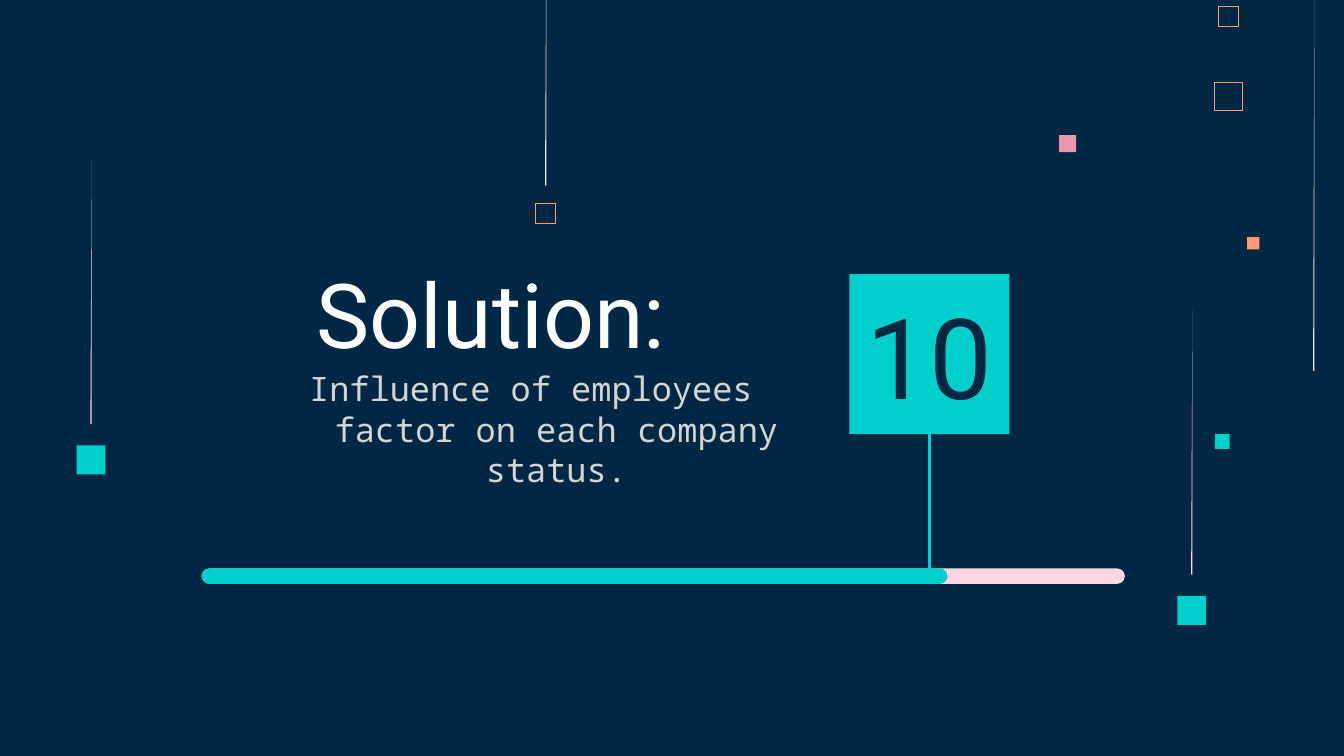
from collections import namedtuple

from lxml import etree
from pptx import Presentation
from pptx.dml.color import RGBColor
from pptx.enum.shapes import MSO_CONNECTOR, MSO_SHAPE
from pptx.enum.text import MSO_ANCHOR, MSO_AUTO_SIZE, PP_ALIGN
from pptx.oxml.ns import qn
from pptx.util import Inches, Pt

RECTANGLE, ROUNDED = MSO_SHAPE.RECTANGLE, MSO_SHAPE.ROUNDED_RECTANGLE
STRAIGHT = MSO_CONNECTOR.STRAIGHT
TOP, MIDDLE, BOTTOM = MSO_ANCHOR.TOP, MSO_ANCHOR.MIDDLE, MSO_ANCHOR.BOTTOM
FIXED, CENTER = MSO_AUTO_SIZE.NONE, PP_ALIGN.CENTER

COLORS = {
    "navy": "002845", "teal": "00CFCC", "rose": "E898AC", "blush": "FFD6E1",
    "orange": "FF9973", "white": "FFFFFF", "gray": "D4D4D4",
}
COLUMNS, ROWS = 100, 56.25
TITLE_ONLY = 5
Box = namedtuple("Box", "left top width height")


def cells(count):
    """Turn grid cells of a tenth of an inch into a length."""
    return Inches(count / 10)


def color(name):
    """Look up a named colour."""
    return RGBColor.from_string(COLORS[name])


def within(box, left, top, width, height):
    """Give a box whose offset is counted from the corner of another."""
    return Box(box.left + left, box.top + top, width, height)


def add_block(page, box, fill=None, outline=None, weight=0.32, kind=RECTANGLE):
    """Add a filled or outlined shape."""
    block = page.shapes.add_shape(kind, *map(cells, box))
    block.shadow.inherit = False
    if kind == ROUNDED:
        block.adjustments[0] = 0.5
    if fill:
        block.fill.solid()
        block.fill.fore_color.rgb = color(fill)
    else:
        block.fill.background()
    if outline:
        block.line.color.rgb = color(outline)
        block.line.width = Pt(weight)
    else:
        block.line.fill.background()


def add_streak(page, box):
    """Add a thin sliver that widens downwards."""
    right, bottom = box.left + box.width, box.top + box.height
    builder = page.shapes.build_freeform(cells(right), cells(box.top))
    builder.add_line_segments([(cells(box.left), cells(bottom)),
                               (cells(right), cells(bottom))])
    streak = builder.convert_to_shape()
    streak.shadow.inherit = False
    streak.fill.solid()
    streak.fill.fore_color.rgb = color("blush")
    streak.line.fill.background()


def add_text(page, box, text, holder=None, size=18, font="Roboto", ink="white",
             anchor=TOP, inset=1, margin=0, indent=0):
    """Write centred text in a placeholder or a new text box."""
    holder = holder or page.shapes.add_textbox(0, 0, 0, 0)
    holder.left, holder.top, holder.width, holder.height = map(cells, box)
    frame = holder.text_frame
    frame.word_wrap, frame.auto_size = True, FIXED
    frame.vertical_anchor = anchor
    frame.margin_left = frame.margin_right = cells(inset)
    frame.margin_top = frame.margin_bottom = cells(inset)
    para = frame.paragraphs[0]
    para.alignment = CENTER
    properties = para._p.get_or_add_pPr()
    properties.set("marL", str(cells(margin)))
    properties.set("indent", str(cells(indent)))
    span = para.add_run()
    span.text = text
    span.font.name, span.font.size = font, Pt(size)
    span.font.color.rgb = color(ink)


def add_drop(page, box, share=0.84, **style):
    """Add a streak with a square hanging below it."""
    side = box.width
    add_block(page, within(box, 0, box.height - side, side, side), **style)
    add_streak(page, within(box, side / 2 - 0.05, 0, 0.1, box.height * share))


def add_backdrop(page, box):
    """Scatter the squares and streaks over the page."""
    squares = [
        (78.8, 10.05, 1.27, dict(fill="rose")),
        (90.4, 32.3, 1.1, dict(fill="teal")),
        (90.35, 6.1, 2.1, dict(outline="orange", weight=0.45)),
        (90.65, 0.45, 1.5, dict(outline="orange")),
        (92.8, 17.65, 0.9, dict(fill="orange")),
    ]
    for left, top, side, style in squares:
        add_block(page, within(box, left, top, side, side), **style)
    add_drop(page, within(box, 39.85, -4.8, 1.5, 21.4), 0.87, outline="orange")
    for left, top in [(87.6, 23.1), (5.7, 11.9)]:
        add_drop(page, within(box, left, top, 2.15, 23.4), fill="teal")
    add_streak(page, within(box, 97.7, 0, 0.1, 27.6))


def add_heading(page, box):
    """Write the title and the line below it."""
    add_text(page, within(box, 3.8, 0, 28.7, 9.2), "Solution:",
             holder=page.shapes.title, size=48, anchor=BOTTOM)
    add_text(page, within(box, 0, 7.3, box.width, 11.5),
             "Influence of employees factor on each company status.",
             font="Noto Sans Mono", ink="gray", margin=5, indent=-3.8)


def add_progress(page, box):
    """Draw the progress bar with its number badge and stem."""
    badge = within(box, 48.2, 0, 11.9, 11.9)
    track = within(box, 0, box.height - 1.15, box.width, 1.15)
    add_block(page, badge, fill="teal")
    add_text(page, badge, "10", size=60, ink="navy", anchor=MIDDLE, inset=0)
    add_block(page, track, fill="blush", kind=ROUNDED)
    add_block(page, track._replace(width=55.5), fill="teal", kind=ROUNDED)
    middle = cells(badge.left + badge.width / 2)
    stem = page.shapes.add_connector(
        STRAIGHT, middle, cells(badge.top + badge.height),
        middle, cells(track.top + track.height / 2))
    stem.line.color.rgb = color("teal")
    stem.line.width = Pt(1.5)
    etree.SubElement(stem._element.spPr, qn("a:effectLst"))


def main():
    """Build the deck and save it."""
    deck = Presentation()
    deck.slide_width, deck.slide_height = cells(COLUMNS), cells(ROWS)
    page = deck.slides.add_slide(deck.slide_layouts[TITLE_ONLY])
    page.background.fill.solid()
    page.background.fill.fore_color.rgb = color("navy")
    add_backdrop(page, Box(0, 0, COLUMNS, ROWS))
    add_heading(page, Box(18.4, 19.1, 41, 18.8))
    add_progress(page, Box(15, 20.4, 68.7, 23.05))
    deck.save("out.pptx")


if __name__ == "__main__":
    main()
